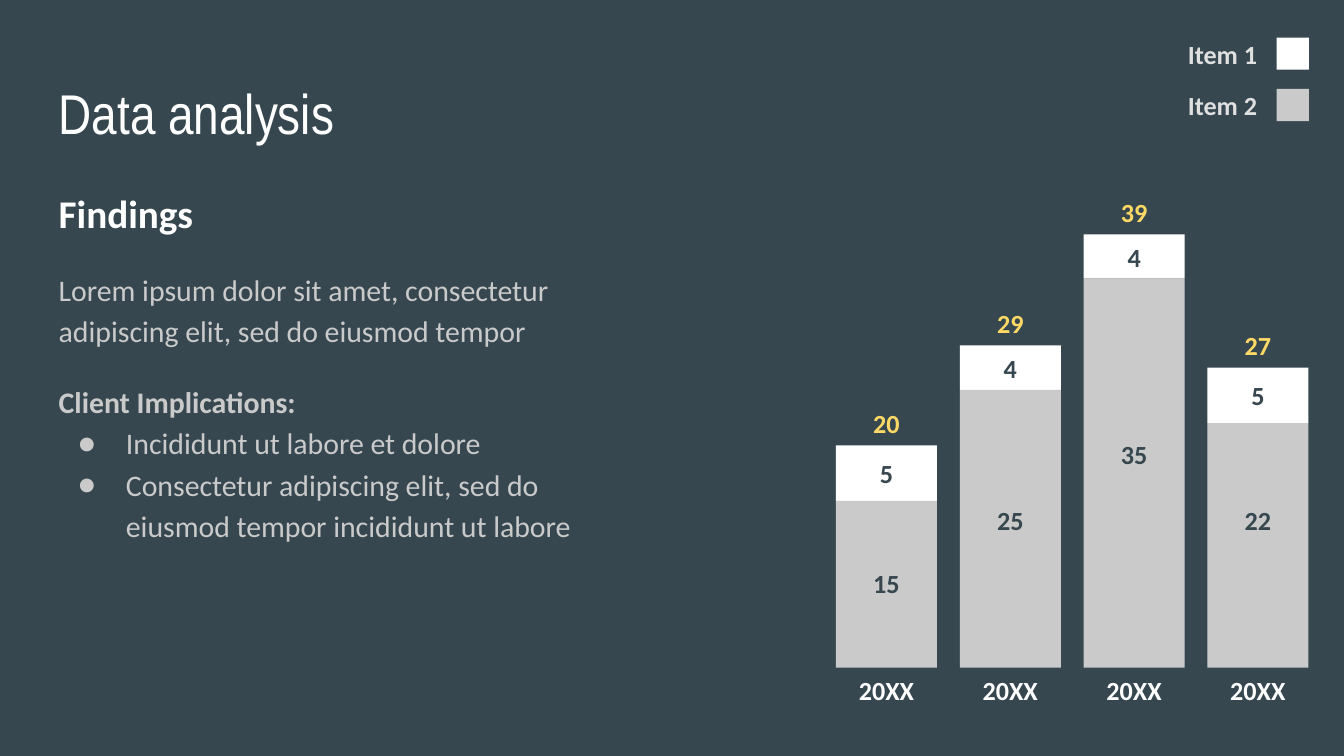
"""Build a data analysis slide with findings and a stacked column diagram."""
import pptx
import pptx.dml.color
import pptx.enum.shapes
import pptx.enum.text
import pptx.oxml.ns
import pptx.util
from lxml import etree

Cm, Pt = pptx.util.Cm, pptx.util.Pt
ALIGN = pptx.enum.text.PP_ALIGN
ANCHOR = pptx.enum.text.MSO_ANCHOR

COLORS = {
    "slate": "37474F",
    "white": "FFFFFF",
    "gray": "CACACA",
    "legend": "E0E0E0",
    "yellow": "FFD966",
}
FRAME = {
    "word_wrap": True,
    "auto_size": pptx.enum.text.MSO_AUTO_SIZE.NONE,
    "margin_left": Cm(0.25),
    "margin_right": Cm(0.25),
    "margin_top": Cm(0.25),
    "margin_bottom": Cm(0.25),
}
TITLE = {"name": "Arial Narrow", "size": Pt(30), "bold": False}
HEADING = {"name": "Calibri", "size": Pt(21), "bold": True}
BODY = {"name": "Calibri", "size": Pt(16), "bold": False}
STRONG = {**BODY, "bold": True}
LABEL = {"name": "Calibri", "size": Pt(14), "bold": True}

FINDINGS = [
    ("Findings", HEADING, "white", 0, False),
    ("Lorem ipsum dolor sit amet, consectetur adipiscing elit, sed do eiusmod tempor",
     BODY, "gray", 16, False),
    ("Client Implications:", STRONG, "gray", 16, False),
    ("Incididunt ut labore et dolore", BODY, "gray", 0, True),
    ("Consectetur adipiscing elit, sed do eiusmod tempor incididunt ut labore",
     BODY, "gray", 0, True),
]
LEGEND = [("Item 1", "white"), ("Item 2", "gray")]
COLUMNS = [
    ("20XX", 15, 5, 10.59),
    ("20XX", 25, 4, 9.4),
    ("20XX", 35, 4, 8.15),
    ("20XX", 22, 5, 9.4),
]
BAR_LEFT, BAR_STEP, BAR_WIDTH = 15.8, 2.34, 1.91
BASELINE, UNIT, LABEL_HEIGHT = 12.62, 0.21, 0.86
KEY_SIZE = 0.61


def rgb(color):
    """Return the named colour."""
    return pptx.dml.color.RGBColor.from_string(COLORS[color])


def set_all(target, values):
    """Set every attribute in values on target."""
    for name, value in values.items():
        setattr(target, name, value)


def write(p, text, font, color):
    """Add one formatted run to a paragraph."""
    r = p.add_run()
    r.text = text
    set_all(r.font, font)
    r.font.color.rgb = rgb(color)


def set_bullet(p, bulleted):
    """Give a paragraph a hanging round bullet, or none."""
    qn = pptx.oxml.ns.qn
    pPr = p._p.get_or_add_pPr()
    pPr.set("marL", str(Cm(1.27) if bulleted else 0))
    pPr.set("indent", str(Cm(-0.91) if bulleted else 0))
    if bulleted:
        clr = etree.SubElement(pPr, qn("a:buClr"))
        etree.SubElement(clr, qn("a:srgbClr"), val=COLORS["gray"])
        etree.SubElement(pPr, qn("a:buFont"), typeface="Calibri")
        etree.SubElement(pPr, qn("a:buChar"), char="●")
    else:
        etree.SubElement(pPr, qn("a:buNone"))


def place(sp, left, top, width, height):
    """Move and size a placeholder and return its text frame."""
    set_all(sp, {"left": Cm(left), "top": Cm(top),
                 "width": Cm(width), "height": Cm(height)})
    tf = sp.text_frame
    set_all(tf, {**FRAME, "vertical_anchor": ANCHOR.TOP})
    return tf


def add_title(s, text):
    """Fill the title placeholder."""
    p = place(s.shapes.title, 0.86, 1.24, 23.67, 1.6).paragraphs[0]
    p.alignment = ALIGN.LEFT
    write(p, text, TITLE, "white")


def add_findings(s):
    """Fill the body placeholder with the findings."""
    tf = place(s.placeholders[1], 0.86, 3.2, 11.1, 9.5)
    for i, (text, font, color, before, bulleted) in enumerate(FINDINGS):
        p = tf.add_paragraph() if i else tf.paragraphs[0]
        set_bullet(p, bulleted)
        set_all(p, {"alignment": ALIGN.LEFT, "line_spacing": 1.15,
                    "space_before": Pt(before), "space_after": Pt(0)})
        write(p, text, font, color)


def add_label(s, text, left, top, height, color, alignment=ALIGN.CENTER):
    """Add a one-line bold label."""
    sp = s.shapes.add_textbox(Cm(left), Cm(top), Cm(BAR_WIDTH), Cm(height))
    tf = sp.text_frame
    set_all(tf, {**FRAME, "vertical_anchor": ANCHOR.MIDDLE})
    p = tf.paragraphs[0]
    p.alignment = alignment
    write(p, text, LABEL, color)


def add_block(s, left, top, width, height, color):
    """Add a plain filled rectangle."""
    sp = s.shapes.add_shape(pptx.enum.shapes.MSO_SHAPE.RECTANGLE,
                            Cm(left), Cm(top), Cm(width), Cm(height))
    sp.shadow.inherit = False
    sp.fill.solid()
    sp.fill.fore_color.rgb = rgb(color)
    sp.line.fill.background()


def add_legend(s):
    """Add the legend rows."""
    for i, (text, color) in enumerate(LEGEND):
        top = 0.71 + i * 0.97
        add_label(s, text, 22.2, top, KEY_SIZE, "legend", ALIGN.LEFT)
        add_block(s, 24.13, top, KEY_SIZE, KEY_SIZE, color)


def add_column(s, left, name, lower, upper, lower_label_top):
    """Add one stacked column with its values, total and name."""
    middle = BASELINE - lower * UNIT
    top = middle - upper * UNIT
    upper_label_top = (top + middle - LABEL_HEIGHT) / 2
    add_block(s, left, top, BAR_WIDTH, middle - top, "white")
    add_block(s, left, middle, BAR_WIDTH, BASELINE - middle, "gray")
    for text, label_top, color in [
        (name, BASELINE, "white"),
        (str(lower + upper), top - LABEL_HEIGHT, "yellow"),
        (str(upper), upper_label_top, "slate"),
        (str(lower), lower_label_top, "slate"),
    ]:
        add_label(s, text, left, label_top, LABEL_HEIGHT, color)


def main():
    """Build and save the slide."""
    prs = pptx.Presentation()
    prs.slide_width, prs.slide_height = Cm(25.4), Cm(14.29)
    s = prs.slides.add_slide(prs.slide_layouts[1])
    s.background.fill.solid()
    s.background.fill.fore_color.rgb = rgb("slate")
    add_title(s, "Data analysis")
    add_findings(s)
    add_legend(s)
    for i, column in enumerate(COLUMNS):
        add_column(s, BAR_LEFT + i * BAR_STEP, *column)
    prs.save("out.pptx")


if __name__ == "__main__":
    main()
